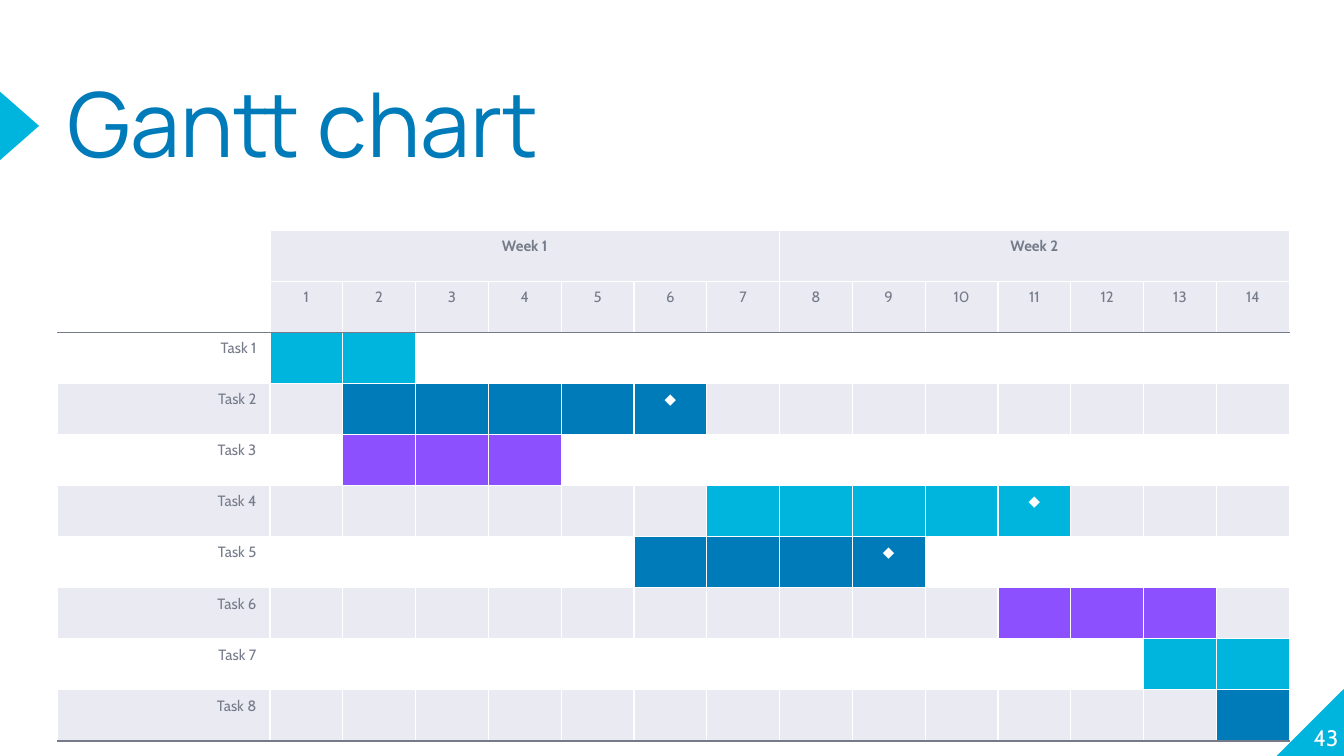
import lxml.etree
import pptx
import pptx.dml.color
import pptx.enum.shapes
import pptx.enum.text
import pptx.oxml.ns
import pptx.util

Pt = pptx.util.Pt
RGBColor = pptx.dml.color.RGBColor
SHAPE = pptx.enum.shapes.MSO_SHAPE
ALIGN = pptx.enum.text.PP_ALIGN
ANCHOR = pptx.enum.text.MSO_ANCHOR
qn = pptx.oxml.ns.qn

WHITE = RGBColor(0xFF, 0xFF, 0xFF)
CYAN = RGBColor(0x00, 0xB5, 0xDD)
BLUE = RGBColor(0x00, 0x7B, 0xB9)
PURPLE = RGBColor(0x8C, 0x50, 0xFF)
PALE = RGBColor(0xE9, 0xEA, 0xF2)
GREY = RGBColor(0x75, 0x7B, 0x89)

WEEKS = 2
DAYS_PER_WEEK = 7
DAYS = WEEKS * DAYS_PER_WEEK
HEADER_ROWS = 2
LABEL_WIDTH = 113.8

# First day, last day, bar colour, whether the last day is a milestone
TASKS = [
    (1, 2, CYAN, False),
    (2, 6, BLUE, True),
    (2, 4, PURPLE, False),
    (7, 11, CYAN, True),
    (6, 9, BLUE, True),
    (11, 13, PURPLE, False),
    (13, 14, CYAN, False),
    (14, 14, BLUE, False),
]


def style_paragraph(paragraph, font_name, size, color, align, bold=False):
    paragraph.alignment = align
    paragraph.font.name = font_name
    paragraph.font.size = Pt(size)
    paragraph.font.color.rgb = color
    paragraph.font.bold = bold


def add_triangle(slide, kind, left, top, width, height):
    triangle = slide.shapes.add_shape(kind, Pt(left), Pt(top), Pt(width), Pt(height))
    triangle.shadow.inherit = False
    triangle.fill.solid()
    triangle.fill.fore_color.rgb = CYAN
    triangle.line.fill.background()
    return triangle


def add_label(slide, text, left, top, width, height, anchor):
    label = slide.shapes.add_textbox(Pt(left), Pt(top), Pt(width), Pt(height))
    frame = label.text_frame
    frame.word_wrap = True
    frame.vertical_anchor = anchor
    frame.margin_left = frame.margin_top = frame.margin_right = frame.margin_bottom = 0
    frame.text = text
    return frame.paragraphs[0]


def add_heading(slide, left, top, width, height):
    # Marker pointing right: a triangle turned about its centre
    marker_width, marker_height = 20.9, 36.7
    turn = (marker_height - marker_width) / 2
    marker = add_triangle(slide, SHAPE.ISOSCELES_TRIANGLE, left - turn, top + 1.4 + turn,
                          marker_height, marker_width)
    marker.rotation = 90

    # Title
    title = add_label(slide, "Gantt chart", left + 36, top, width - 36, height, ANCHOR.TOP)
    style_paragraph(title, "Manrope", 48, BLUE, ALIGN.LEFT)
    title.line_spacing = 0.8


def add_page_number(slide, left, top, size):
    corner = add_triangle(slide, SHAPE.RIGHT_TRIANGLE, left, top, size, size)
    corner_flip = corner.element.spPr.find(qn("a:xfrm"))
    corner_flip.set("flipH", "1")
    number = add_label(slide, "43", left - 3, top - 2.9, 36, size, ANCHOR.BOTTOM)
    style_paragraph(number, "Cabin", 12, WHITE, ALIGN.RIGHT)


def set_borders(cell, top, bottom):
    properties = cell._tc.get_or_add_tcPr()
    sides = [("a:lnL", WHITE), ("a:lnR", WHITE), ("a:lnT", top), ("a:lnB", bottom)]
    for position, (side, color) in enumerate(sides):
        line = lxml.etree.Element(qn(side), w=str(Pt(0.75)))
        fill = lxml.etree.SubElement(line, qn("a:solidFill"))
        lxml.etree.SubElement(fill, qn("a:srgbClr"), val=str(color))
        properties.insert(position, line)


def cell_content(row, day):
    """Return the text, fill, text colour and alignment of a cell; day 0 is the label."""
    if row < HEADER_ROWS:
        if day == 0:
            return "", None, GREY, ALIGN.CENTER
        if row == 1:
            return str(day), PALE, GREY, ALIGN.CENTER
        week, offset = divmod(day - 1, DAYS_PER_WEEK)
        return f"Week {week + 1}" if offset == 0 else "", PALE, GREY, ALIGN.CENTER

    task = row - HEADER_ROWS
    first, last, color, milestone = TASKS[task]
    band = PALE if task % 2 else None
    if day == 0:
        return f"Task {task + 1}", band, GREY, ALIGN.RIGHT
    if first <= day <= last:
        return "◆" if milestone and day == last else "", color, WHITE, ALIGN.CENTER
    return "", band, GREY, ALIGN.CENTER


def add_gantt_table(slide, left, top, width, height):
    rows = HEADER_ROWS + len(TASKS)
    table = slide.shapes.add_table(rows, DAYS + 1, Pt(left), Pt(top), Pt(width), Pt(height)).table
    table.first_row = table.horz_banding = False

    # Grid
    for table_row in table.rows:
        table_row.height = Pt(height / rows)
    for day, column in enumerate(table.columns):
        column.width = Pt((width - LABEL_WIDTH) / DAYS if day else LABEL_WIDTH)

    # Cells, with grey rules under the header and the last task
    ruled_rows = (HEADER_ROWS - 1, rows - 1)
    for row in range(rows):
        for day in range(DAYS + 1):
            text, fill, color, align = cell_content(row, day)
            cell = table.cell(row, day)
            cell.text = text
            style_paragraph(cell.text_frame.paragraphs[0], "Cabin", 8, color, align, row == 0)
            if fill is None:
                cell.fill.background()
            else:
                cell.fill.solid()
                cell.fill.fore_color.rgb = fill
            set_borders(cell, GREY if row - 1 in ruled_rows else WHITE,
                        GREY if row in ruled_rows else WHITE)

    # Week headings span their days
    for first in range(1, DAYS + 1, DAYS_PER_WEEK):
        table.cell(0, first).merge(table.cell(0, first + DAYS_PER_WEEK - 1))


def main():
    presentation = pptx.Presentation()
    presentation.slide_width = Pt(720)
    presentation.slide_height = Pt(405)
    slide = presentation.slides.add_slide(presentation.slide_layouts[6])

    add_page_number(slide, 684, 368.3, 36.7)
    add_heading(slide, 0, 47.7, 480, 85)
    add_gantt_table(slide, 30.8, 123.4, 660.2, 273.8)
    presentation.save("out.pptx")


if __name__ == "__main__":
    main()
